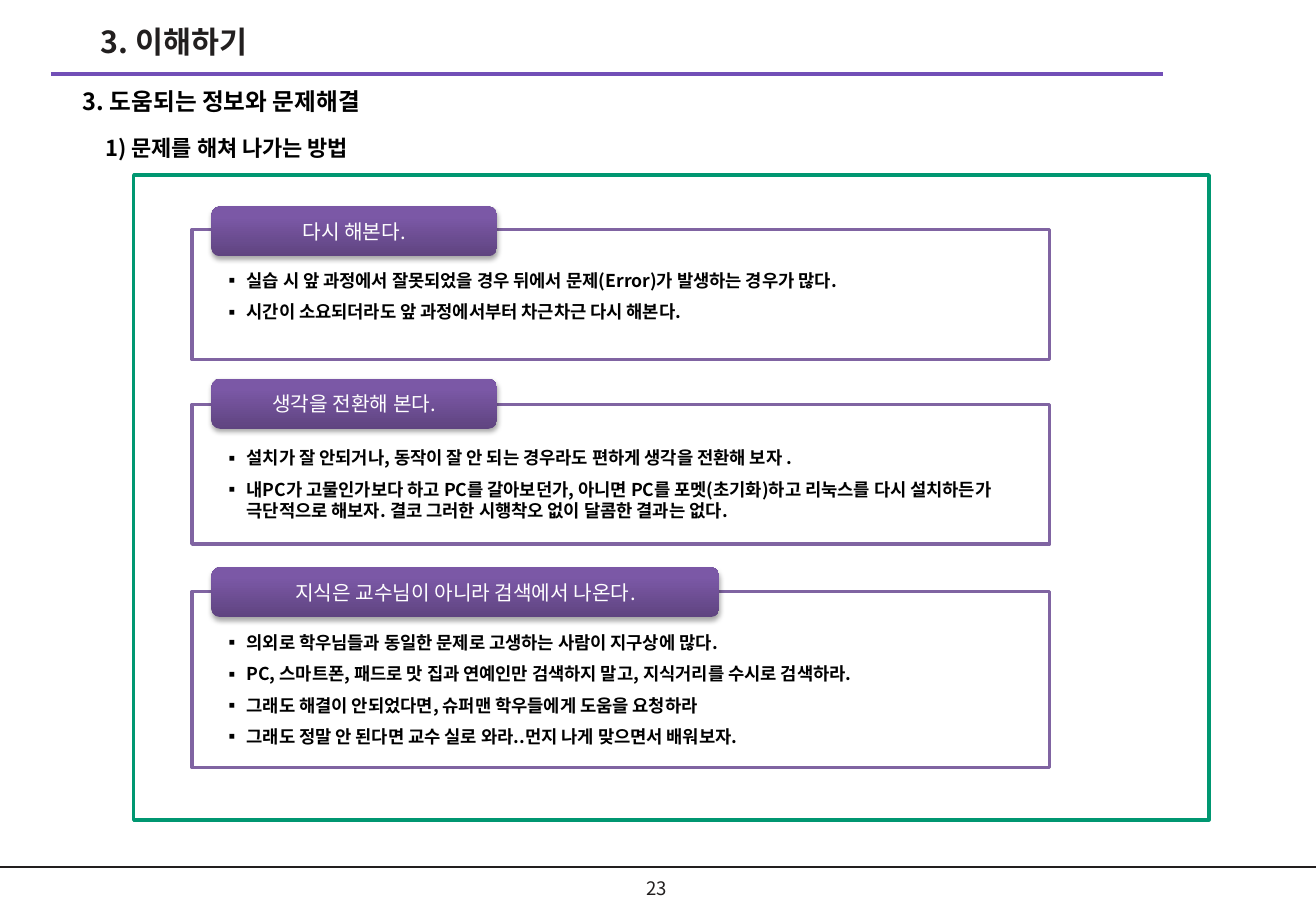
from dataclasses import dataclass

from lxml.etree import SubElement
from pptx import Presentation
from pptx.dml.color import RGBColor
from pptx.enum.shapes import MSO_CONNECTOR, MSO_SHAPE
from pptx.enum.text import MSO_ANCHOR, MSO_AUTO_SIZE, PP_ALIGN
from pptx.oxml.ns import qn
from pptx.util import Emu, Pt

SCALE = 9144  # EMU in one px, at 100 px to the inch


@dataclass(frozen=True)
class Theme:
    font: str = "Noto Sans CJK KR"
    ink: str = "221F1F"
    black: str = "000000"
    white: str = "FFFFFF"
    rule: str = "724FB7"
    frame: str = "009771"
    topic: str = "8064A2"
    tab_stops: tuple = ((0, "5F4480"), (80, "7B58A6"), (100, "7C57A8"))
    title_size: float = 18
    section_size: float = 14
    method_size: float = 13
    tab_size: float = 12
    list_size: float = 10.5
    page_size: float = 11


def px(length):
    return Emu(length * SCALE)


def apply(target, values):
    for name, value in values.items():
        setattr(target, name, value)


class SlideBuilder:
    def __init__(self, slide, theme):
        self.slide = slide
        self.theme = theme

    def set_text(self, shape, lines, size, color, bold=False, align=PP_ALIGN.LEFT,
                 anchor=MSO_ANCHOR.MIDDLE, wrap=True, bullet=None,
                 auto_size=MSO_AUTO_SIZE.NONE):
        frame = shape.text_frame
        apply(frame, {"word_wrap": wrap, "auto_size": auto_size,
                      "vertical_anchor": anchor})
        for number, line in enumerate(lines):
            paragraph = frame.add_paragraph() if number else frame.paragraphs[0]
            properties = paragraph._p.get_or_add_pPr()
            indent = 19 * SCALE if bullet else 0
            properties.set("marL", str(indent))
            properties.set("indent", str(-indent))
            if bullet:
                SubElement(properties, qn("a:buFont"), typeface=self.theme.font)
                SubElement(properties, qn("a:buChar"), char=bullet)
            else:
                SubElement(properties, qn("a:buNone"))
            apply(paragraph, {"alignment": align,
                              "space_before": Pt(6 if number else 0)})
            run = paragraph.add_run()
            run.text = line
            apply(run.font, {"name": self.theme.font, "size": Pt(size), "bold": bold})
            run.font.color.rgb = RGBColor.from_string(color)
            SubElement(run._r.get_or_add_rPr(), qn("a:ea"), typeface=self.theme.font)

    def place(self, index, box, lines, **style):
        """Move a placeholder to the front of the slide and fill it."""
        shape = self.slide.placeholders[index]
        apply(shape, dict(zip(("left", "top", "width", "height"), map(px, box))))
        self.slide.shapes._spTree.append(shape._element)
        self.set_text(shape, lines, **style)

    def text(self, box, line, **style):
        self.set_text(self.slide.shapes.add_textbox(*map(px, box)), [line], **style)

    def rule(self, start, end, color, width):
        line = self.slide.shapes.add_connector(
            MSO_CONNECTOR.STRAIGHT, *map(px, start + end))
        line.line.color.rgb = RGBColor.from_string(color)
        line.line.width = Pt(width)
        SubElement(line._element.spPr, qn("a:effectLst"))

    def box(self, box, color, fill=None):
        shape = self.slide.shapes.add_shape(MSO_SHAPE.RECTANGLE, *map(px, box))
        shape.shadow.inherit = False
        if fill:
            shape.fill.solid()
            shape.fill.fore_color.rgb = RGBColor.from_string(fill)
        else:
            shape.fill.background()
        shape.line.color.rgb = RGBColor.from_string(color)
        shape.line.width = Pt(2)

    def tab(self, box, label):
        shape = self.slide.shapes.add_shape(MSO_SHAPE.ROUNDED_RECTANGLE, *map(px, box))
        shape.adjustments[0] = 0.17
        shape.line.fill.background()
        # Gradient from dark at the bottom to light at the top
        shape.fill.gradient()
        shape.fill.gradient_angle = 90
        stops = shape._element.spPr.find(".//" + qn("a:gsLst"))
        stops.clear()
        for position, color in self.theme.tab_stops:
            stop = SubElement(stops, qn("a:gs"), pos=str(position * 1000))
            SubElement(stop, qn("a:srgbClr"), val=color)
        # Soft shadow below
        shape.shadow.inherit = False
        effects = shape._element.spPr.find(qn("a:effectLst"))
        shadow = SubElement(effects, qn("a:outerShdw"), blurRad=str(Pt(3.1)),
                            dist=str(Pt(1.8)), dir="5400000", rotWithShape="0")
        shade = SubElement(shadow, qn("a:srgbClr"), val=self.theme.black)
        SubElement(shade, qn("a:alpha"), val="35000")
        self.set_text(shape, [label], self.theme.tab_size, self.theme.white,
                      align=PP_ALIGN.CENTER, wrap=False)


# Placeholder, frame top and height, fill, tab top and width, list top and height
TOPICS = [
    (2, 189, 107, None, 170, 235, 217, 54, "다시 해본다.", [
        "실습 시 앞 과정에서 잘못되었을 경우 뒤에서 문제(Error)가 발생하는 경우가 많다.",
        "시간이 소요되더라도 앞 과정에서부터 차근차근 다시 해본다.",
    ]),
    (3, 333, 115, None, 312, 235, 363, 72, "생각을 전환해 본다.", [
        "설치가 잘 안되거나, 동작이 잘 안 되는 경우라도 편하게 생각을 전환해 보자 .",
        "내PC가 고물인가보다 하고 PC를 갈아보던가, 아니면 PC를 포멧(초기화)하고 "
        "리눅스를 다시 설치하든가 극단적으로 해보자. 결코 그러한 시행착오 없이 "
        "달콤한 결과는 없다.",
    ]),
    (4, 487, 145, Theme.white, 467, 418, 515, 106,
     "지식은 교수님이 아니라 검색에서 나온다.", [
         "의외로 학우님들과 동일한 문제로 고생하는 사람이 지구상에 많다.",
         "PC, 스마트폰, 패드로 맛 집과 연예인만 검색하지 말고, 지식거리를 수시로 검색하라.",
         "그래도 해결이 안되었다면, 슈퍼맨 학우들에게 도움을 요청하라",
         "그래도 정말 안 된다면 교수 실로 와라..먼지 나게 맞으면서 배워보자.",
     ]),
]


def main():
    presentation = Presentation()
    apply(presentation, {"slide_width": px(1083), "slide_height": px(750)})
    theme = Theme()
    slide = presentation.slides.add_slide(
        presentation.slide_layouts.get_by_name("Comparison"))
    builder = SlideBuilder(slide, theme)

    # Rules and page number
    builder.rule((0, 714), (1083, 714), theme.ink, 1)
    builder.rule((42, 61), (957, 61), theme.rule, 2.25)
    builder.text((510, 715, 61, 33), "23", size=theme.page_size,
                 color=theme.ink, align=PP_ALIGN.CENTER)

    # Headings
    builder.place(0, (73, 14, 555, 48), ["3. 이해하기"], size=theme.title_size,
                  color=theme.ink, bold=True, anchor=MSO_ANCHOR.TOP)
    builder.place(1, (58, 59, 609, 49), ["3. 도움되는 정보와 문제해결"],
                  size=theme.section_size, color=theme.black, bold=True)
    builder.text((77, 97, 418, 49), "1) 문제를 해쳐 나가는 방법",
                 size=theme.method_size, color=theme.black, bold=True)

    # Framed topics, each with a tab and a list
    builder.box((110, 144, 885, 531), theme.frame, theme.white)
    for (index, top, height, fill, tab_top, tab_width,
         list_top, list_height, label, lines) in TOPICS:
        builder.box((158, top, 706, height), theme.topic, fill)
        builder.tab((174, tab_top, tab_width, 41), label)
        builder.place(index, (174, list_top, 666, list_height), lines,
                      size=theme.list_size, color=theme.black, bold=True,
                      anchor=MSO_ANCHOR.TOP, bullet="▪",
                      auto_size=MSO_AUTO_SIZE.SHAPE_TO_FIT_TEXT)

    presentation.save("out.pptx")


if __name__ == "__main__":
    main()
